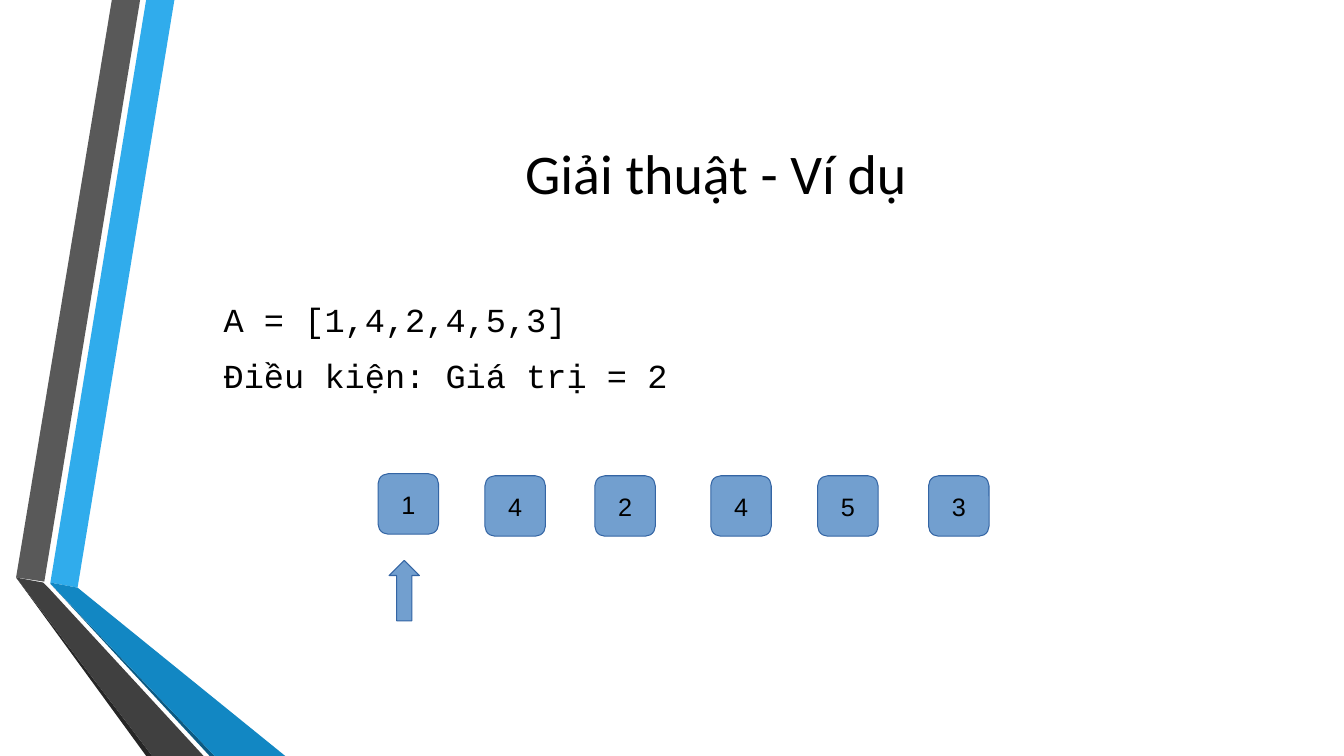
from pptx import Presentation
from pptx.dml.color import RGBColor
from pptx.enum.shapes import MSO_SHAPE
from pptx.enum.text import MSO_ANCHOR, PP_ALIGN
from pptx.util import Inches, Pt

BLACK = RGBColor(0x00, 0x00, 0x00)
SKY = RGBColor(0x30, 0xAC, 0xEC)
BLUE = RGBColor(0x12, 0x87, 0xC3)
NAVY = RGBColor(0x0C, 0x5A, 0x82)
GRAY = RGBColor(0x59, 0x59, 0x59)
DARK_GRAY = RGBColor(0x40, 0x40, 0x40)
CHARCOAL = RGBColor(0x26, 0x26, 0x26)
CELL_FILL = RGBColor(0x72, 0x9F, 0xCF)
CELL_LINE = RGBColor(0x34, 0x65, 0xA4)

# Ribbon faces, back to front
RIBBON_FACES = [
    (SKY, [(0.5, 5.78), (0.77, 5.83), (1.73, 0), (1.45, 0)]),
    (GRAY, [(1.39, 0), (1.11, 0), (0.16, 5.73), (0.44, 5.77)]),
    (CHARCOAL, [(0.16, 5.73), (1.45, 7.5), (1.51, 7.5)]),
    (NAVY, [(0.5, 5.79), (2.08, 7.5), (2.13, 7.5)]),
    (BLUE, [(0.5, 5.79), (2.13, 7.5), (2.83, 7.5), (0.77, 5.83), (0.5, 5.78)]),
    (DARK_GRAY, [(2.02, 7.5), (0.48, 5.83), (0.43, 5.78), (0.16, 5.73), (1.51, 7.5)]),
]

# Array cells: value, left, top
ARRAY_CELLS = [
    ("1", 3.75, 4.7),
    ("4", 4.81, 4.72),
    ("2", 5.9, 4.72),
    ("4", 7.05, 4.72),
    ("5", 8.11, 4.72),
    ("3", 9.21, 4.72),
]
CELL_SIZE = 0.6


class SlideBuilder:
    def __init__(self, slide):
        self.shapes = slide.shapes

    def style_text(self, paragraph, font_name, size):
        for run in paragraph.runs:
            run.font.name = font_name
            run.font.size = Pt(size)
            run.font.color.rgb = BLACK

    def face(self, color, points):
        corners = [(Inches(x), Inches(y)) for x, y in points]
        builder = self.shapes.build_freeform(*corners[0])
        builder.add_line_segments(corners[1:], close=True)
        face = builder.convert_to_shape()
        face.shadow.inherit = False
        face.fill.solid()
        face.fill.fore_color.rgb = color
        face.line.fill.background()

    def text_box(self, left, top, width, height, text, anchor=MSO_ANCHOR.TOP):
        box = self.shapes.add_textbox(Inches(left), Inches(top), Inches(width), Inches(height))
        frame = box.text_frame
        frame.word_wrap = True
        frame.vertical_anchor = anchor
        frame.text = text
        return frame.paragraphs

    def title(self, text):
        heading = self.text_box(1.62, 0.75, 10.96, 1.92, text, MSO_ANCHOR.MIDDLE)[0]
        heading.alignment = PP_ALIGN.CENTER
        self.style_text(heading, "Calibri", 40)

    def code_lines(self, lines):
        for line in self.text_box(1.62, 2.92, 10.96, 1.18, "\n".join(lines)):
            properties = line._p.get_or_add_pPr()
            properties.set("marL", str(Inches(0.5)))
            properties.set("indent", "0")
            line.space_before = Pt(4.8)
            line.space_after = Pt(6)
            self.style_text(line, "Courier New", 24)

    def block(self, preset, left, top, width, height):
        block = self.shapes.add_shape(
            preset, Inches(left), Inches(top), Inches(width), Inches(height))
        block.shadow.inherit = False
        block.fill.solid()
        block.fill.fore_color.rgb = CELL_FILL
        block.line.color.rgb = CELL_LINE
        block.line.width = Pt(0.75)
        return block

    def cell(self, value, left, top):
        cell = self.block(MSO_SHAPE.ROUNDED_RECTANGLE, left, top, CELL_SIZE, CELL_SIZE)
        frame = cell.text_frame
        frame.word_wrap = False
        frame.vertical_anchor = MSO_ANCHOR.MIDDLE
        frame.text = value
        frame.paragraphs[0].alignment = PP_ALIGN.CENTER
        self.style_text(frame.paragraphs[0], "Arial", 18)


def main():
    deck = Presentation()
    deck.slide_width = Inches(13.33)
    deck.slide_height = Inches(7.5)
    builder = SlideBuilder(deck.slides.add_slide(deck.slide_layouts[6]))

    # Ribbon on the left edge
    for color, points in RIBBON_FACES:
        builder.face(color, points)

    # Title and problem statement
    builder.title("Giải thuật - Ví dụ")
    builder.code_lines(["A = [1,4,2,4,5,3]", "Điều kiện: Giá trị = 2"])

    # Array with the pointer under its first cell
    for value, left, top in ARRAY_CELLS:
        builder.cell(value, left, top)
    builder.block(MSO_SHAPE.UP_ARROW, 3.86, 5.56, 0.3, 0.6)

    deck.save("out.pptx")


if __name__ == "__main__":
    main()
